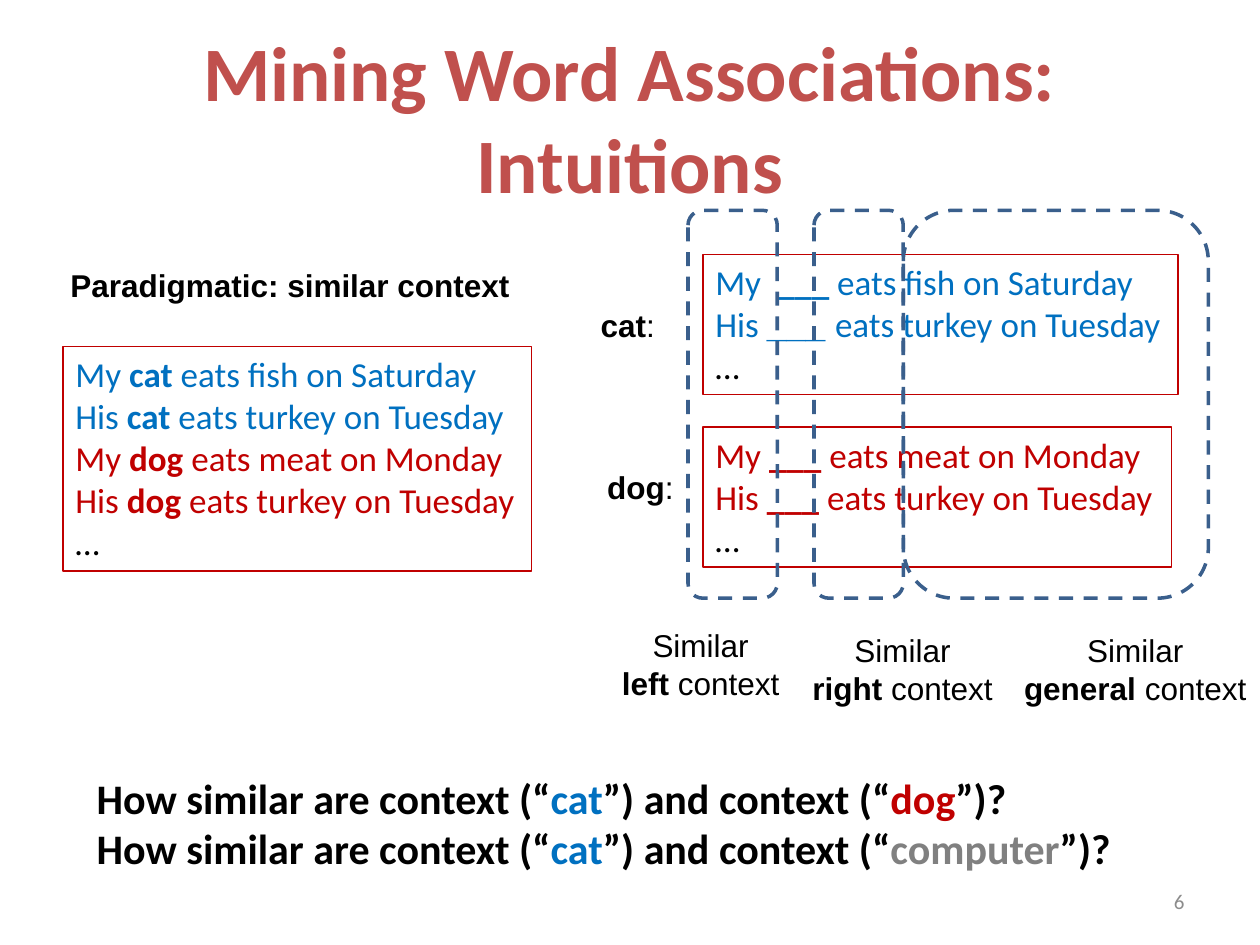
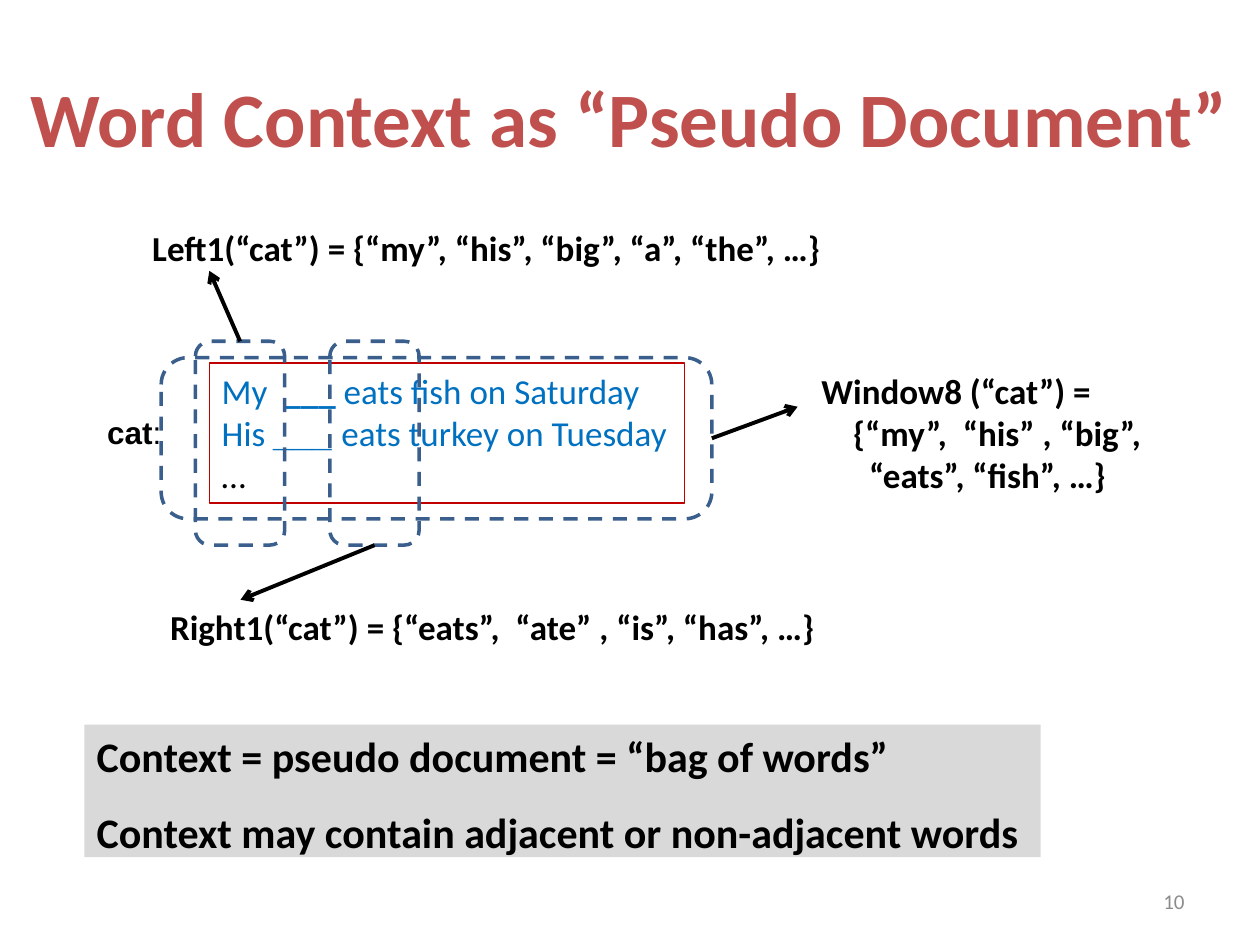
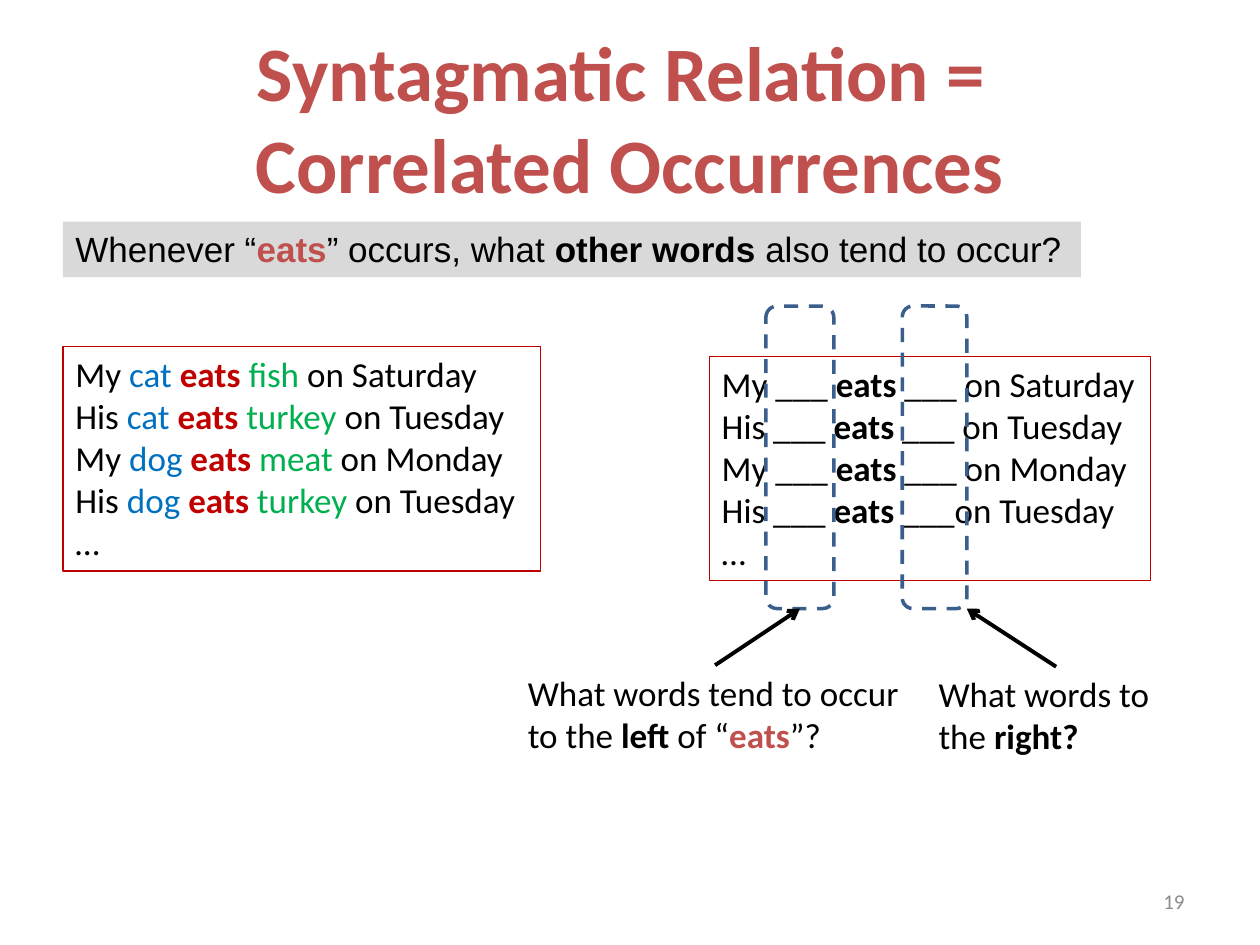
from dataclasses import dataclass

from lxml.etree import SubElement
from pptx import Presentation
from pptx.dml.color import RGBColor
from pptx.enum.dml import MSO_LINE
from pptx.enum.shapes import MSO_CONNECTOR, MSO_SHAPE
from pptx.enum.text import MSO_ANCHOR, MSO_AUTO_SIZE, PP_ALIGN
from pptx.oxml.ns import qn
from pptx.util import Cm, Pt

COLOURS = {
    "black": "000000", "title": "C0504D", "blue": "0070C0", "red": "C00000",
    "green": "00B050", "grey": "808080", "number": "8C8C8C",
    "window": "3A5F8C", "banner": "D9D9D9",
}


@dataclass
class Style:
    size: int
    font: str = "Calibri"
    bold: bool = False
    colour: str = "black"
    align: PP_ALIGN = PP_ALIGN.LEFT
    framed: bool = False
    fill: str = ""
    fixed: bool = False  # keeps its size, wraps and centres vertically


@dataclass
class Line:
    text: str
    colour: str = ""
    indent: float = 0
    spacing: float = 1


STYLES = {
    "title": Style(44, bold=True, colour="title", align=PP_ALIGN.CENTER, fixed=True),
    "number": Style(12, colour="number", align=PP_ALIGN.RIGHT, fixed=True),
    "sentences": Style(20, framed=True),
    "word": Style(18, "Arial"),
    "caption": Style(18, "Arial", align=PP_ALIGN.CENTER),
    "formula": Style(20, bold=True),
    "question": Style(20),
    "conclusion": Style(24, bold=True),
    "bold banner": Style(24, bold=True, fill="banner"),
    "banner": Style(20, "Arial", fill="banner"),
}

# Content: [style words|text] marks a run that differs from its line
CAT_CONTEXT = [
    Line("My  [bold|___] eats fish on Saturday", "blue"),
    Line("His [bold Arial|___ ]eats turkey on Tuesday", "blue"),
    "…",
]
DOG_CONTEXT = [
    Line("My [bold|___] eats meat on Monday", "red"),
    Line("His [bold|___] eats turkey on Tuesday", "red"),
    "…",
]
SENTENCES = [("My", "cat", "fish", "Saturday"), ("His", "cat", "turkey", "Tuesday"),
             ("My", "dog", "meat", "Monday"), ("His", "dog", "turkey", "Tuesday")]
ANIMAL_COLOURS = {"cat": "blue", "dog": "red"}
ANIMAL_SENTENCES = [
    Line(f"{owner} [bold|{animal}] eats {food} on {day}", ANIMAL_COLOURS[animal])
    for owner, animal, food, day in SENTENCES] + ["…"]
EATS_SENTENCES = [
    f"{owner} [blue|{animal} ][bold red|eats ][green|{food}] on {day}"
    for owner, animal, food, day in SENTENCES] + ["…"]
EATS_CONTEXT = [
    "My ___ [bold|eats] ___ on Saturday",
    "His ___ [bold|eats] ___ on Tuesday",
    "My ___ [bold|eats] ___ on Monday",
    "His ___ [bold|eats] ___on Tuesday",
    "…",
]

# Boxes are left, top, width, height in cm; an arrow end is a point or (part, side)
TITLE_BOX = (1.27, 0.76, 22.86, 3.18)
NUMBER_BOX = (18.21, 17.65, 5.92, 1.02)
SLIDES = [
    {
        "title": "Mining Word Associations: Intuitions",
        "number": 6,
        "texts": {
            "sentences": ("sentences", (1.27, 6.99, 9.45, 4.52), ANIMAL_SENTENCES),
            "cat context": ("sentences", (14.17, 5.13, 9.58, 2.82), CAT_CONTEXT),
            "dog context": ("sentences", (14.17, 8.61, 9.45, 2.82), DOG_CONTEXT),
            "cat": ("word", (11.86, 6.05, 1.63, 1.02), ["[bold|cat]:"]),
            "dog": ("word", (11.99, 9.32, 1.85, 1.02), ["[bold|dog]:"]),
            "relation": ("word", (1.17, 5.23, 9.45, 1.02),
                         ["[bold|Paradigmatic: similar context]"]),
            "left caption": ("caption", (12.27, 12.5, 3.71, 1.8),
                             ["Similar", "[bold|left ]context"]),
            "right caption": ("caption", (16.1, 12.6, 4.19, 1.8),
                              ["Similar", "[bold|right ]context"]),
            "general caption": ("caption", (20.37, 12.6, 5.03, 1.8),
                                ["Similar", "[bold|general ]context"]),
            "questions": ("conclusion", (1.7, 15.44, 21.13, 2.31), [
                f"How similar are context (“[blue|cat]”) and context (“[{colour}|{word}]”)?"
                for word, colour in (("dog", "red"), ("computer", "grey"))]),
        },
        "windows": {
            "left": (13.87, 4.24, 1.8, 7.82),
            "right": (16.41, 4.24, 1.8, 7.82),
            "general": (18.21, 4.24, 6.15, 7.82),
        },
        "arrows": [],
    },
    {
        "title": "Word Context as “Pseudo Document”",
        "title box": (0, 0.76, 25.4, 3.18),
        "number": 10,
        "texts": {
            "cat context": ("sentences", (4.22, 7.32, 9.58, 2.82), CAT_CONTEXT),
            "cat": ("word", (1.91, 8.2, 1.63, 1.02), ["[bold|cat]:"]),
            "left words": ("formula", (2.82, 4.45, 14.12, 1.12),
                           ["Left1(“cat”) = {“my”, “his”, “big”, “a”, “the”, …}"]),
            "right words": ("formula", (3.18, 12.09, 13.61, 1.12),
                            ["Right1(“cat”) = {“eats”,  “ate” , “is”, “has”, …}"]),
            "window words": ("formula", (16.31, 7.32, 7.16, 2.82), [
                "Window8 (“cat”) =",
                Line("{“my”,  “his” , “big”,", indent=0.64),
                Line("“eats”, “fish”, …}", indent=0.96)]),
            "summary": ("bold banner", (1.7, 14.61, 19.28, 2.67), [
                "Context = pseudo document = “bag of words”",
                Line("Context may contain adjacent or non-adjacent words", spacing=1.5)]),
        },
        "windows": {
            "left": (3.94, 6.88, 1.8, 4.11),
            "right": (6.65, 6.88, 1.8, 4.11),
            "general": (3.25, 7.21, 11.1, 3.25),
        },
        "arrows": [
            (("left", 0), (4.22, 5.46)),
            (("right", 2), (4.85, 12.09)),
            (("general", 3), (16.08, 8.2)),
        ],
    },
    {
        "title": "Syntagmatic Relation = \vCorrelated Occurrences",
        "number": 19,
        "texts": {
            "sentences": ("sentences", (1.27, 6.99, 9.63, 4.52), EATS_SENTENCES),
            "lead question": ("banner", (1.27, 4.47, 20.52, 1.12), [
                "Whenever “[bold title|eats]” occurs, what [bold|other words]"
                " also tend to occur?"]),
            "eats context": ("sentences", (14.3, 7.19, 8.89, 4.52), EATS_CONTEXT),
            "left question": ("question", (10.39, 13.41, 8.05, 1.96), [
                "What words tend to occur",
                "to the [bold|left ]of “[bold title|eats]”?"]),
            "right question": ("question", (18.67, 13.44, 4.8, 1.96),
                               ["What words to", "the [bold|right?]"]),
        },
        "windows": {
            "left": (15.44, 6.17, 1.37, 6.1),
            "right": (18.19, 6.17, 1.3, 6.1),
        },
        "arrows": [
            (("left question", 0), ("left", 2)),
            ((21.29, 13.44), (19.49, 12.27)),
        ],
    },
]


def rgb(name):
    return RGBColor.from_string(COLOURS[name])


def in_cm(values):
    return [Cm(value) for value in values]


def split_runs(markup):
    """Yield (style words, text) for each run of a marked line."""
    for part in markup.replace("]", "[").split("["):
        if part:
            words, _, text = part.rpartition("|")
            yield words.split(), text


def write_line(paragraph, line, style):
    paragraph.alignment = style.align
    if line.spacing != 1:
        paragraph.line_spacing = line.spacing
    if line.indent:
        paragraph._p.get_or_add_pPr().set("marL", str(Cm(line.indent)))
    for words, text in split_runs(line.text):
        if "\v" in text:
            paragraph.text = text
            runs = paragraph.runs
        else:
            runs = [paragraph.add_run()]
            runs[0].text = text
        colour = next((word for word in words if word in COLOURS), line.colour or style.colour)
        for run in runs:
            run.font.size = Pt(style.size)
            run.font.name = "Arial" if "Arial" in words else style.font
            run.font.bold = style.bold or "bold" in words
            run.font.color.rgb = rgb(colour)


def add_text(slide, style_name, box, lines):
    style = STYLES[style_name]
    shape = slide.shapes.add_textbox(*in_cm(box))
    frame = shape.text_frame
    frame.word_wrap = style.fixed
    if style.fixed:
        frame.vertical_anchor = MSO_ANCHOR.MIDDLE
    else:
        frame.auto_size = MSO_AUTO_SIZE.SHAPE_TO_FIT_TEXT
    if style.framed:
        shape.line.color.rgb = rgb("red")
        shape.line.width = Pt(0.75)
    if style.fill:
        shape.fill.solid()
        shape.fill.fore_color.rgb = rgb(style.fill)
    for index, line in enumerate(lines):
        paragraph = frame.add_paragraph() if index else frame.paragraphs[0]
        write_line(paragraph, Line(line) if isinstance(line, str) else line, style)
    return shape


def add_window(slide, box):
    window = slide.shapes.add_shape(MSO_SHAPE.ROUNDED_RECTANGLE, *in_cm(box))
    window.shadow.inherit = False
    window.fill.background()
    window.line.color.rgb = rgb("window")
    window.line.width = Pt(2)
    window.line.dash_style = MSO_LINE.DASH
    return window


def add_arrow(slide, start, end, parts):
    points = [(0, 0) if isinstance(place[0], str) else place for place in (start, end)]
    arrow = slide.shapes.add_connector(MSO_CONNECTOR.STRAIGHT, *in_cm(points[0] + points[1]))
    for place, connect in ((start, arrow.begin_connect), (end, arrow.end_connect)):
        if isinstance(place[0], str):
            connect(parts[place[0]], place[1])
    arrow.line.color.rgb = rgb("black")
    arrow.line.width = Pt(2.25)
    SubElement(arrow.line._get_or_add_ln(), qn("a:tailEnd"), type="arrow")
    SubElement(arrow._element.spPr, qn("a:effectLst"))


def build_slide(presentation, content):
    slide = presentation.slides.add_slide(presentation.slide_layouts[6])
    add_text(slide, "title", content.get("title box", TITLE_BOX), [content["title"]])
    add_text(slide, "number", NUMBER_BOX, [str(content["number"])])
    parts = {name: add_text(slide, *text) for name, text in content["texts"].items()}
    for name, box in content["windows"].items():
        parts[name] = add_window(slide, box)
    for start, end in content["arrows"]:
        add_arrow(slide, start, end, parts)


def main():
    presentation = Presentation()
    presentation.slide_width, presentation.slide_height = Cm(25.4), Cm(19.05)
    for content in SLIDES:
        build_slide(presentation, content)
    presentation.save("out.pptx")


if __name__ == "__main__":
    main()
